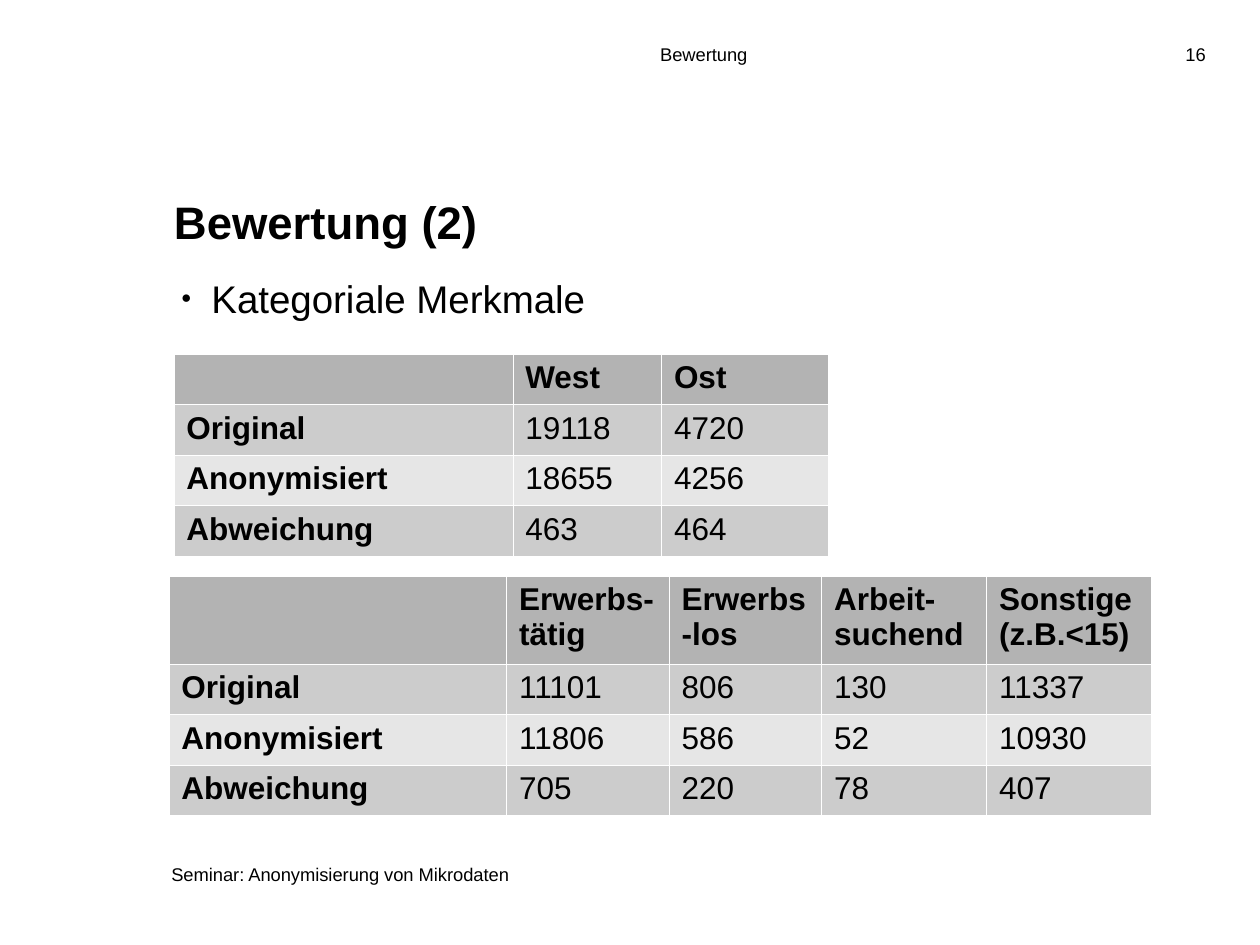
"""Build the slide "Bewertung (2)" with two comparison tables."""
from lxml import etree
from pptx import Presentation
from pptx.dml.color import RGBColor
from pptx.enum import text
from pptx.oxml import ns
from pptx.util import Inches, Pt

theme = {
    "font": "Arial", "ink": "000000", "border": "FFFFFF",
    "header": "B3B3B3", "odd": "CCCCCC", "even": "E6E6E6",
    "title": 26, "body": 22, "table": 18, "small": 10.5,
}


def write(frame, lines, size, bold=False, align=text.PP_ALIGN.LEFT, **frame_format):
    """Fill a text frame with one formatted paragraph per line."""
    for name, value in frame_format.items():
        setattr(frame, name, value)
    for index, line in enumerate(lines.split("\n")):
        para = frame.paragraphs[0] if index == 0 else frame.add_paragraph()
        para.alignment = align
        span = para.add_run()
        span.text = line
        for name, value in {"name": theme["font"], "size": Pt(size), "bold": bold}.items():
            setattr(span.font, name, value)
        span.font.color.rgb = RGBColor.from_string(theme["ink"])


def add_child(parent, tag, **attributes):
    """Append a DrawingML element and return it."""
    return etree.SubElement(parent, ns.qn(f"a:{tag}"), attributes)


deck = Presentation()
deck.slide_width, deck.slide_height = Inches(10), Inches(7.5)
page = deck.slides.add_slide(deck.slide_layouts[5])

title = page.shapes.title
for name, value in {"left": 1.34, "top": 1.5, "width": 7.13, "height": 0.66}.items():
    setattr(title, name, Inches(value))
write(title.text_frame, "Bewertung (2)", theme["title"], bold=True, word_wrap=True,
      auto_size=text.MSO_AUTO_SIZE.NONE, vertical_anchor=text.MSO_ANCHOR.TOP,
      margin_left=Inches(0.04), margin_right=Inches(0.02),
      margin_top=Inches(0.04), margin_bottom=Inches(0.04))

small_texts = [
    ("Bewertung", 5.2, 0.23, 3.54, 0.04, text.PP_ALIGN.LEFT),
    ("Seminar: Anonymisierung von Mikrodaten", 1.34, 6.74, 3.17, 0.02, text.PP_ALIGN.LEFT),
    ("16", 8.94, 0.23, 0.67, 0.04, text.PP_ALIGN.RIGHT),
]
for words, left, top, width, side, align in small_texts:
    box = page.shapes.add_textbox(Inches(left), Inches(top), Inches(width), Inches(0.4))
    write(box.text_frame, words, theme["small"], align=align, word_wrap=True,
          vertical_anchor=text.MSO_ANCHOR.MIDDLE,
          margin_left=Inches(side), margin_right=Inches(side),
          margin_top=Inches(0.04), margin_bottom=Inches(0.04))

box = page.shapes.add_textbox(Inches(1.34), Inches(2.13), Inches(6.77), Inches(0.55))
bullet = box.text_frame.paragraphs[0]._p.get_or_add_pPr()
bullet.set("marL", str(Inches(0.24)))
bullet.set("indent", str(Inches(-0.24)))
add_child(add_child(bullet, "buClr"), "srgbClr", val=theme["ink"])
add_child(bullet, "buSzPct", val="45000")
add_child(bullet, "buFont", typeface=theme["font"])
add_child(bullet, "buChar", char="●")
write(box.text_frame, "Kategoriale Merkmale", theme["body"], word_wrap=True)

row_height = 0.4
tables = [
    (1.38, 2.81, row_height, [2.69, 1.18, 1.32], [
        ["", "West", "Ost"],
        ["Original", "19118", "4720"],
        ["Anonymisiert", "18655", "4256"],
        ["Abweichung", "463", "464"],
    ]),
    (1.34, 4.57, 0.7, [2.68, 1.29, 1.21, 1.31, 1.31], [
        ["", "Erwerbs-tätig", "Erwerbs-los", "Arbeit-\nsuchend", "Sonstige (z.B.<15)"],
        ["Original", "11101", "806", "130", "11337"],
        ["Anonymisiert", "11806", "586", "52", "10930"],
        ["Abweichung", "705", "220", "78", "407"],
    ]),
]
for left, top, header_height, widths, rows in tables:
    heights = [header_height] + [row_height] * (len(rows) - 1)
    table = page.shapes.add_table(len(rows), len(widths), Inches(left), Inches(top),
                                  Inches(sum(widths)), Inches(sum(heights))).table
    for column, width in zip(table.columns, widths):
        column.width = Inches(width)
    for row_index, (row, height) in enumerate(zip(rows, heights)):
        table.rows[row_index].height = Inches(height)
        shade = "header" if row_index == 0 else "odd" if row_index % 2 else "even"
        for column_index, words in enumerate(row):
            cell = table.cell(row_index, column_index)
            if words:
                write(cell.text_frame, words, theme["table"],
                      bold=row_index == 0 or column_index == 0)
            else:
                cell.text_frame.paragraphs[0].font.size = Pt(theme["table"])
            properties = cell._tc.get_or_add_tcPr()
            for side in ("lnL", "lnR", "lnT", "lnB"):
                line = add_child(properties, side, w=str(Pt(0.06)))
                add_child(add_child(line, "solidFill"), "srgbClr", val=theme["border"])
            cell.fill.solid()
            cell.fill.fore_color.rgb = RGBColor.from_string(theme[shade])

deck.save("out.pptx")
